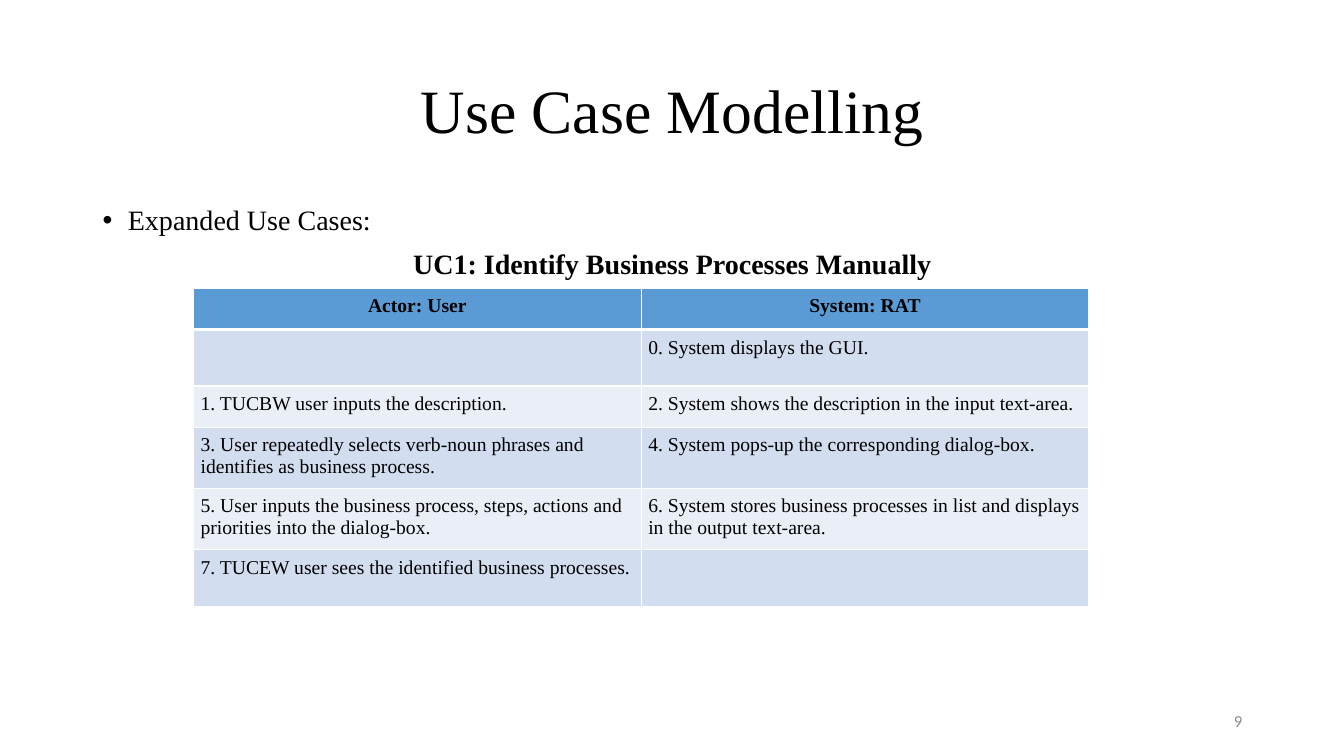
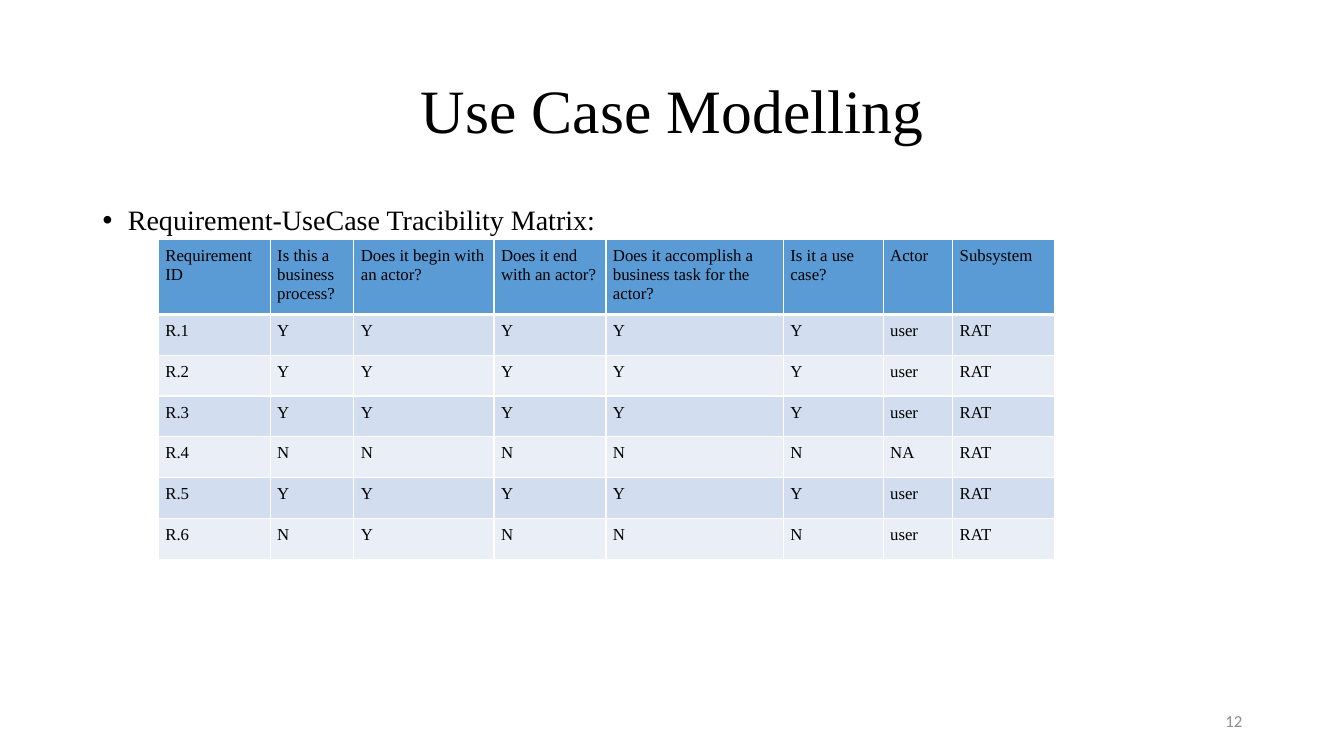
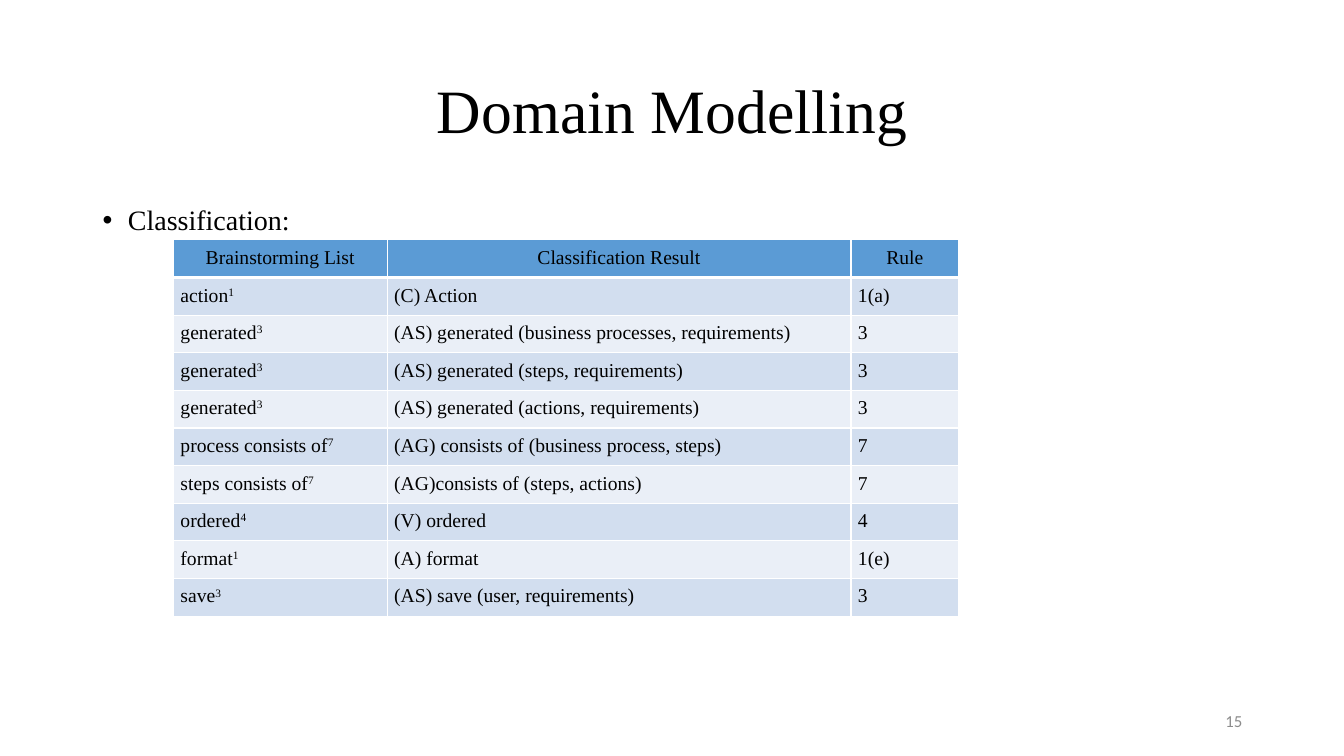
from itertools import product

from lxml import etree
from pptx import Presentation
from pptx.dml.color import RGBColor
from pptx.enum import text
from pptx.oxml import ns
from pptx.util import Inches, Pt

# Shared style
BLACK = RGBColor(0x00, 0x00, 0x00)
WHITE = RGBColor(0xFF, 0xFF, 0xFF)
GREY = RGBColor(0x8C, 0x8C, 0x8C)
HEADER_BLUE = RGBColor(0x5B, 0x9B, 0xD5)
BANDS = (RGBColor(0xEA, 0xEF, 0xF7), RGBColor(0xD2, 0xDE, 0xEF))
SERIF, SANS = "Times New Roman", "Calibri"
LEFT, CENTER, RIGHT = text.PP_ALIGN.LEFT, text.PP_ALIGN.CENTER, text.PP_ALIGN.RIGHT

# Regions shared by all slides: left, top, width, height
TITLE_BOX = (0.92, 0.4, 11.5, 1.45)
BODY_BOX = (0.92, 2, 11.5, 4.76)
NUMBER_BOX = (9.42, 6.95, 3, 0.4)
CELL_INSET = Inches(0.07)


def add_span(para, words, size, font=SERIF, color=BLACK, bold=False):
    span = para.add_run()
    span.text = words
    span.font.size = Pt(size)
    span.font.name = font
    span.font.color.rgb = color
    span.font.bold = bold
    return span


def add_text_frame(page, box, anchor):
    frame = page.shapes.add_textbox(*map(Inches, box)).text_frame
    frame.word_wrap = True
    frame.vertical_anchor = anchor
    return frame


def add_bullet(para):
    props = para._p.get_or_add_pPr()
    props.set("marL", str(Inches(0.25)))
    props.set("indent", str(-Inches(0.25)))
    font = etree.SubElement(props, ns.qn("a:buFont"))
    font.set("typeface", "Arial")
    etree.SubElement(props, ns.qn("a:buChar")).set("char", "•")


def add_title(page, box, words):
    para = add_text_frame(page, box, text.MSO_ANCHOR.MIDDLE).paragraphs[0]
    para.alignment = CENTER
    para.line_spacing = 0.9
    add_span(para, words, 44)


def add_body(page, box, heading, caption=None):
    frame = add_text_frame(page, box, text.MSO_ANCHOR.TOP)
    paras = [frame.paragraphs[0]]
    add_span(paras[0], heading, 20)
    if caption:
        paras.append(frame.add_paragraph())
        paras[1].alignment = CENTER
        add_span(paras[1], caption, 20, bold=True)
    for para in paras:
        para.line_spacing = 0.9
        para.space_before = Pt(10)
    add_bullet(paras[0])


def add_page_number(page, box, number):
    para = add_text_frame(page, box, text.MSO_ANCHOR.MIDDLE).paragraphs[0]
    para.alignment = RIGHT
    add_span(para, str(number), 12, SANS, GREY)


def set_borders(cell, row):
    """White rules, with a thick one between the header and the body."""
    widths = {"L": 1, "R": 1, "T": 3 if row == 1 else 1, "B": 3 if row == 0 else 1}
    props = cell._tc.get_or_add_tcPr()
    for side, width in widths.items():
        line = etree.SubElement(props, ns.qn(f"a:ln{side}"))
        line.set("w", str(Pt(width)))
        fill = etree.SubElement(line, ns.qn("a:solidFill"))
        etree.SubElement(fill, ns.qn("a:srgbClr")).set("val", str(WHITE))


def fill_cell(cell, words, row, size, align, bold):
    set_borders(cell, row)
    cell.fill.solid()
    cell.fill.fore_color.rgb = BANDS[row % 2] if row else HEADER_BLUE
    cell.margin_left = cell.margin_right = CELL_INSET
    cell.margin_top = cell.margin_bottom = CELL_INSET
    para = cell.text_frame.paragraphs[0]
    para.alignment = align
    # A caret separates a word from its superscript rule number
    base, _, superscript = words.partition("^")
    if base:
        add_span(para, base, size, bold=bold)
    if superscript:
        span = add_span(para, superscript, size, bold=bold)
        span._r.get_or_add_rPr().set("baseline", "30000")


def add_grid(page, corner, rows, widths, heights, size, header_align, header_bold=False):
    box = (*corner, sum(widths), sum(heights))
    frame = page.shapes.add_table(len(rows), len(widths), *map(Inches, box))
    table = frame.table
    for column, width in zip(table.columns, widths):
        column.width = Inches(width)
    for line, height in zip(table.rows, heights):
        line.height = Inches(height)
    for row, column in product(range(len(rows)), range(len(widths))):
        align, bold = (LEFT, False) if row else (header_align, header_bold)
        fill_cell(table.cell(row, column), rows[row][column], row, size, align, bold)


def add_table_page(deck, title, number, heading, caption=None, **grid):
    page = deck.slides.add_slide(deck.slide_layouts[6])
    add_title(page, TITLE_BOX, title)
    add_body(page, BODY_BOX, heading, caption)
    add_grid(page, **grid)
    add_page_number(page, NUMBER_BOX, number)


# Table contents
USE_CASE_STEPS = [
    ("Actor: User", "System: RAT"),
    ("", "0. System displays the GUI."),
    ("1. TUCBW user inputs the description.",
     "2. System shows the description in the input text-area."),
    ("3. User repeatedly selects verb-noun phrases and identifies as business process.",
     "4. System pops-up the corresponding dialog-box."),
    ("5. User inputs the business process, steps, actions and priorities into the dialog-box.",
     "6. System stores business processes in list and displays in the output text-area."),
    ("7. TUCEW user sees the identified business processes.", ""),
]
TRACEABILITY = [
    ("Requirement ID", "Is this a business process?", "Does it begin with an actor?",
     "Does it end with an actor?", "Does it accomplish a business task for the actor?",
     "Is it a use case?", "Actor", "Subsystem"),
    *((f"R.{index}", *answers, actor, "RAT") for index, (answers, actor) in enumerate(
        [("YYYYY", "user"), ("YYYYY", "user"), ("YYYYY", "user"),
         ("NNNNN", "NA"), ("YYYYY", "user"), ("NYNNN", "user")], start=1)),
]
CLASSIFICATION = [
    ("Brainstorming List", "Classification Result", "Rule"),
    ("action^1", "(C) Action", "1(a)"),
    ("generated^3", "(AS) generated (business processes, requirements)", "3"),
    ("generated^3", "(AS) generated (steps, requirements)", "3"),
    ("generated^3", "(AS) generated (actions, requirements)", "3"),
    ("process consists of^7", "(AG) consists of (business process, steps)", "7"),
    ("steps consists of^7", "(AG)consists of (steps, actions)", "7"),
    ("ordered^4", "(V) ordered", "4"),
    ("format^1", "(A) format", "1(e)"),
    ("save^3", "(AS) save (user, requirements)", "3"),
]

deck = Presentation()
deck.slide_width, deck.slide_height = Inches(13.33), Inches(7.5)

# Expanded use case
add_table_page(
    deck, "Use Case Modelling", 9, "Expanded Use Cases:",
    "UC1: Identify Business Processes Manually",
    corner=(1.92, 2.86), rows=USE_CASE_STEPS, widths=[4.44] * 2,
    heights=[0.41, 0.56, 0.41, 0.58, 0.58, 0.57],
    size=14, header_align=CENTER, header_bold=True)

# Requirements against use cases
add_table_page(
    deck, "Use Case Modelling", 12, "Requirement-UseCase Tracibility Matrix:",
    corner=(1.57, 2.38), rows=TRACEABILITY,
    widths=[1.11, 0.83, 1.39, 1.11, 1.76, 0.99, 0.69, 1.01],
    heights=[0.7] + [2.43 / 6] * 6, size=12, header_align=LEFT)

# Classification of brainstormed terms
add_table_page(
    deck, "Domain Modelling", 15, "Classification:",
    corner=(1.72, 2.38), rows=CLASSIFICATION, widths=[2.12, 4.6, 1.07],
    heights=[0.36] * 10, size=14, header_align=CENTER)

deck.save("out.pptx")
